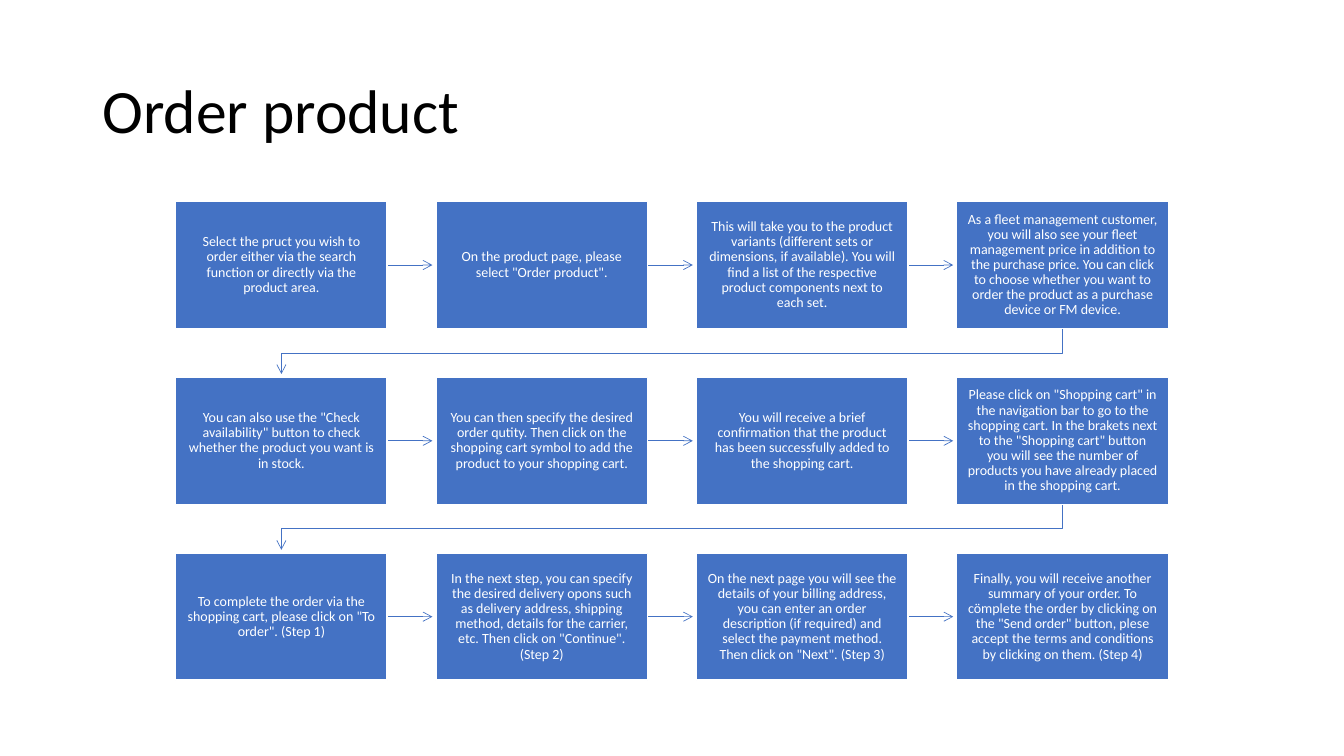
"""Build the "Order product" slide: twelve steps in three rows, joined by arrows."""
from lxml.etree import SubElement
from pptx import Presentation
from pptx.dml.color import RGBColor
from pptx.enum.shapes import MSO_CONNECTOR as LINK, MSO_SHAPE as SHAPE
from pptx.enum.text import MSO_ANCHOR as ANCHOR, PP_ALIGN as ALIGN
from pptx.oxml.ns import qn
from pptx.util import Pt

BLUE, WHITE, BLACK = "4472C4", "FFFFFF", "000000"
hue = RGBColor.from_string


def write(frame, text, size, color, align=ALIGN.LEFT, after=0):
    frame.word_wrap = True
    frame.vertical_anchor = ANCHOR.MIDDLE
    par = frame.paragraphs[0]
    par.alignment = align
    par.line_spacing = 0.9
    par.space_after = Pt(after)
    run = par.add_run()
    run.text = text
    run.font.name = "Calibri"
    run.font.size = Pt(size)
    run.font.color.rgb = hue(color)


def point(line):
    line.line.color.rgb = hue(BLUE)
    line.line.width = Pt(0.5)
    props = line.element.spPr
    SubElement(props.find(qn("a:ln")), qn("a:tailEnd"), type="arrow")
    SubElement(props, qn("a:effectLst"))


steps = [
    "Select the pruct you wish to order either via the search function or directly "
    "via the product area.",
    'On the product page, please select "Order product".',
    "This will take you to the product variants (different sets or dimensions, if "
    "available). You will find a list of the respective product components next to "
    "each set.",
    "As a fleet management customer, you will also see your fleet management price "
    "in addition to the purchase price. You can click to choose whether you want to "
    "order the product as a purchase device or FM device.",
    'You can also use the "Check availability" button to check whether the product '
    "you want is in stock.",
    "You can then specify the desired order qutity. Then click on the shopping cart "
    "symbol to add the product to your shopping cart.",
    "You will receive a brief confirmation that the product has been successfully "
    "added to the shopping cart.",
    'Please click on "Shopping cart" in the navigation bar to go to the shopping '
    'cart. In the brakets next to the "Shopping cart" button you will see the number '
    "of products you have already placed in the shopping cart.",
    'To complete the order via the shopping cart, please click on "To order". (Step 1)',
    "In the next step, you can specify the desired delivery opons such as delivery "
    'address, shipping method, details for the carrier, etc. Then click on "Continue". '
    "(Step 2)",
    "On the next page you will see the details of your billing address, you can enter "
    "an order description (if required) and select the payment method. Then click on "
    '"Next". (Step 3)',
    "Finally, you will receive another summary of your order. To cömplete the order "
    'by clicking on the "Send order" button, plese accept the terms and conditions by '
    "clicking on them. (Step 4)",
]

deck = Presentation()
deck.slide_width, deck.slide_height = Pt(960), Pt(540)
slide = deck.slides.add_slide(deck.slide_layouts[5])
shapes = slide.shapes

title = shapes.title
title.left, title.top, title.width, title.height = Pt(66), Pt(28.75), Pt(828), Pt(104.4)
write(title.text_frame, "Order product", 44, BLACK)

COLS = 4
LEFT, TOP = 125.4, 144
WIDE, HIGH = 151.2, 90.6
STEP_X, STEP_Y = 186, 125.6
GAP_X, GAP_Y = STEP_X - WIDE, STEP_Y - HIGH
TRIM = 2.5
first = LEFT + WIDE / 2
last = first + (COLS - 1) * STEP_X

for i, step in enumerate(steps):
    row, col = divmod(i, COLS)
    x, y = LEFT + col * STEP_X, TOP + row * STEP_Y
    right, base, mid = x + WIDE, y + HIGH, y + HIGH / 2

    if col < COLS - 1:
        point(shapes.add_connector(LINK.STRAIGHT, Pt(right), Pt(mid),
                                   Pt(right + GAP_X - TRIM), Pt(mid)))
    elif i < len(steps) - 1:
        turn = base + GAP_Y / 2
        path = shapes.build_freeform(Pt(last), Pt(base))
        path.add_line_segments([(Pt(last), Pt(turn)), (Pt(first), Pt(turn)),
                                (Pt(first), Pt(base + GAP_Y - TRIM))], close=False)
        bend = path.convert_to_shape()
        bend.fill.background()
        point(bend)

    box = shapes.add_shape(SHAPE.RECTANGLE, Pt(x), Pt(y), Pt(WIDE), Pt(HIGH))
    box.shadow.inherit = False
    box.fill.solid()
    box.fill.fore_color.rgb = hue(BLUE)
    box.line.color.rgb = hue(WHITE)
    box.line.width = Pt(1)
    frame = box.text_frame
    frame.margin_left = frame.margin_right = Pt(7.4)
    frame.margin_top = frame.margin_bottom = Pt(7.8)
    write(frame, step, 10, WHITE, align=ALIGN.CENTER, after=3.5)

deck.save("out.pptx")
